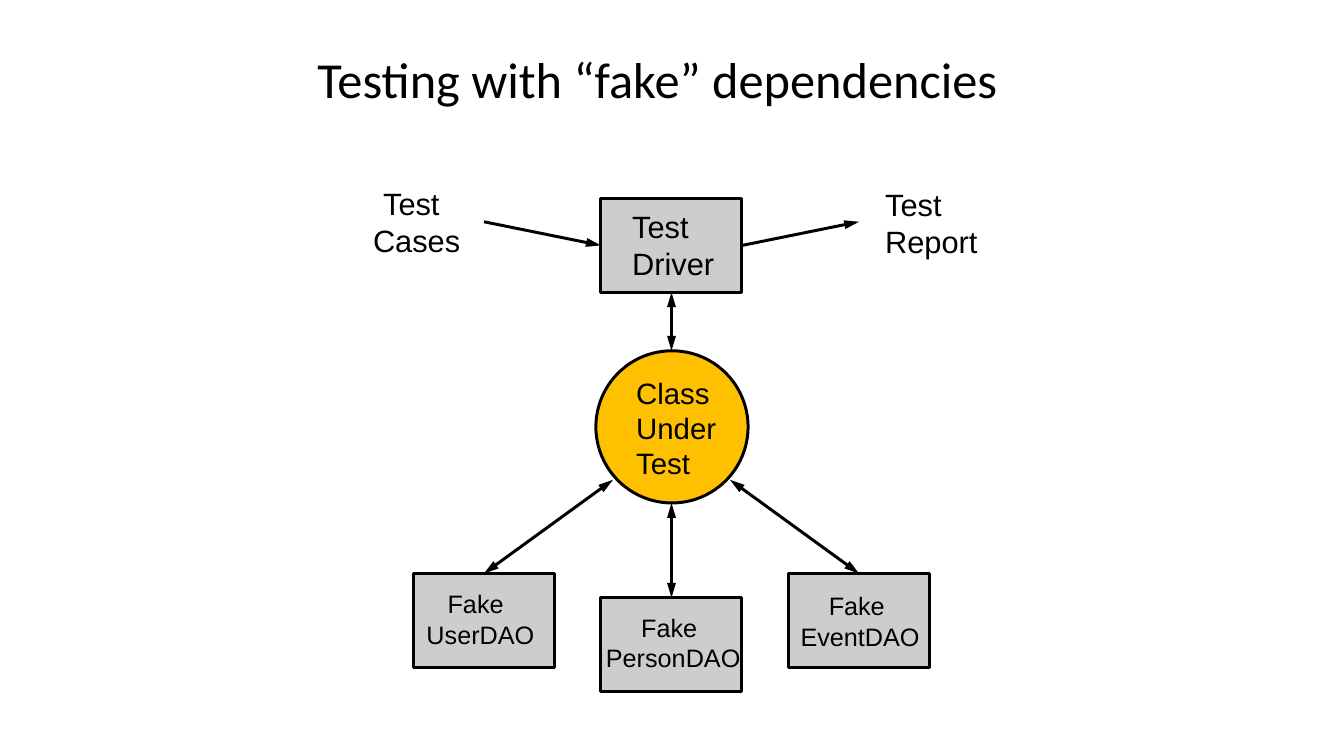
from pptx import Presentation
from pptx.dml.color import RGBColor
from pptx.enum.shapes import MSO_CONNECTOR as CONN, MSO_SHAPE as SHAPE
from pptx.enum.text import MSO_ANCHOR as ANCHOR, MSO_AUTO_SIZE as AUTO
from pptx.oxml.ns import qn
from pptx.util import Pt
from lxml.etree import SubElement

PX = 9144  # 100 px to the inch
TOP, LEFT, BOTTOM, RIGHT = range(4)


def px(n):
    return n * PX


def color(code):
    return RGBColor.from_string(code)


def write(tf, text, size=22, font="Arial", ink="000000", indent=0, spacing=None):
    """One paragraph per line of text; indent shifts the first line only."""
    for i, line in enumerate(text.split("\n")):
        p = tf.paragraphs[0] if i == 0 else tf.add_paragraph()
        if i == 0 and indent:
            p._p.get_or_add_pPr().set("marL", str(px(indent)))
        if spacing:
            p.line_spacing = spacing
        r = p.add_run()
        r.text = line
        r.font.size, r.font.name = Pt(size), font
        r.font.color.rgb = color(ink)


class Diagram:
    INK, GRAY, AMBER = "000000", "CDCDCD", "FFC000"
    LINE = Pt(2.13)

    def __init__(self, slide):
        self.shapes = slide.shapes

    def title(self, x, y, w, h, text):
        tf = self.shapes.add_textbox(px(x), px(y), px(w), px(h)).text_frame
        tf.word_wrap = True
        tf.vertical_anchor = ANCHOR.MIDDLE
        write(tf, text, size=36, font="Calibri", spacing=0.9)

    def label(self, x, y, w, h, text, **fmt):
        tf = self.shapes.add_textbox(px(x), px(y), px(w), px(h)).text_frame
        tf.margin_left = tf.margin_top = tf.margin_right = tf.margin_bottom = 0
        tf.word_wrap = False
        tf.auto_size = AUTO.SHAPE_TO_FIT_TEXT
        write(tf, text, **fmt)

    def node(self, kind, x, y, w, h, fill):
        sp = self.shapes.add_shape(kind, px(x), px(y), px(w), px(h))
        sp.shadow.inherit = False
        sp.fill.solid()
        sp.fill.fore_color.rgb = color(fill)
        sp.line.color.rgb = color(self.INK)
        sp.line.width = self.LINE
        return sp

    def box(self, x, y):
        return self.node(SHAPE.RECTANGLE, x, y, 140, 93, self.GRAY)

    def arrow(self, x1, y1, x2, y2, begin=None, end=None, both=False):
        """begin and end are (shape, side) pairs to join."""
        cn = self.shapes.add_connector(CONN.STRAIGHT, px(x1), px(y1), px(x2), px(y2))
        if begin:
            cn.begin_connect(*begin)
        if end:
            cn.end_connect(*end)
        cn.line.color.rgb = color(self.INK)
        cn.line.width = self.LINE
        ln = cn.line._get_or_add_ln()
        for tag in ("a:headEnd", "a:tailEnd") if both else ("a:tailEnd",):
            SubElement(ln, qn(tag), type="triangle", w="med", len="lg")
        SubElement(cn._element.spPr, qn("a:effectLst"))


def main():
    prs = Presentation()
    prs.slide_width, prs.slide_height = px(1333), px(750)
    d = Diagram(prs.slides.add_slide(prs.slide_layouts[6]))
    d.title(305, 19, 850, 125, "Testing with “fake” dependencies")

    # Test driver and class under test
    driver = d.box(596, 197)
    d.label(627, 206, 82, 74, "Test\nDriver")
    d.node(SHAPE.OVAL, 591, 348, 151, 151, d.AMBER)
    d.label(631, 372, 80, 106, "Class\nUnder\nTest", size=21)
    d.arrow(666, 290, 666, 348, begin=(driver, BOTTOM), both=True)

    # Fake dependencies: box corner, label place, indent, arrow start on circle
    fakes = [
        ("UserDAO", 410, 569, (423, 584, 108, 61), 21, (608, 476)),
        ("PersonDAO", 596, 593, (601, 607, 135, 61), 35, (666, 499)),
        ("EventDAO", 782, 569, (794, 586, 119, 61), 28, (724, 476)),
    ]
    for name, x, y, place, indent, start in fakes:
        fake = d.box(x, y)
        d.label(*place, f"Fake\n{name}", size=18, indent=indent)
        d.arrow(*start, x + 70, y, end=(fake, TOP), both=True)

    # Input and output
    d.label(370, 183, 88, 74, "Test\nCases", indent=10)
    d.arrow(480, 220, 596, 243, end=(driver, LEFT))
    d.label(878, 184, 93, 74, "Test\nReport")
    d.arrow(736, 243, 852, 220, begin=(driver, RIGHT))

    prs.save("out.pptx")


if __name__ == "__main__":
    main()
